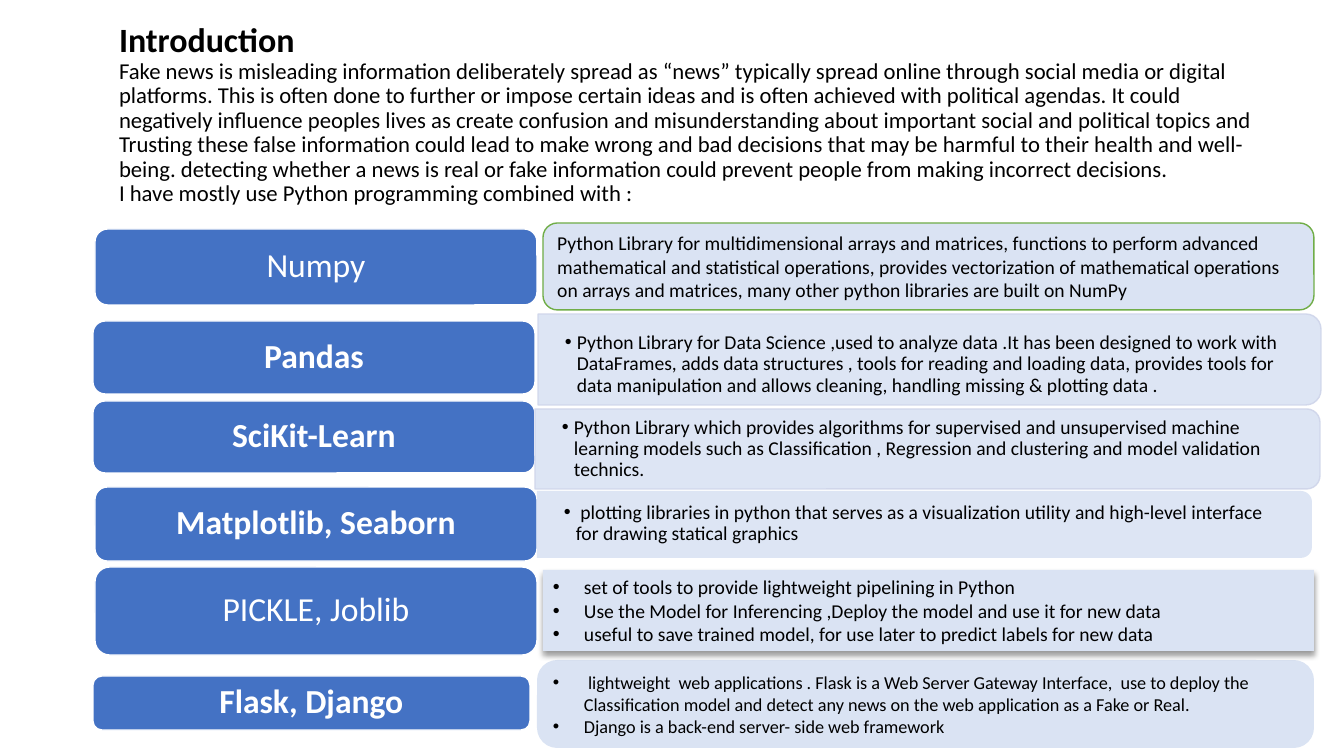
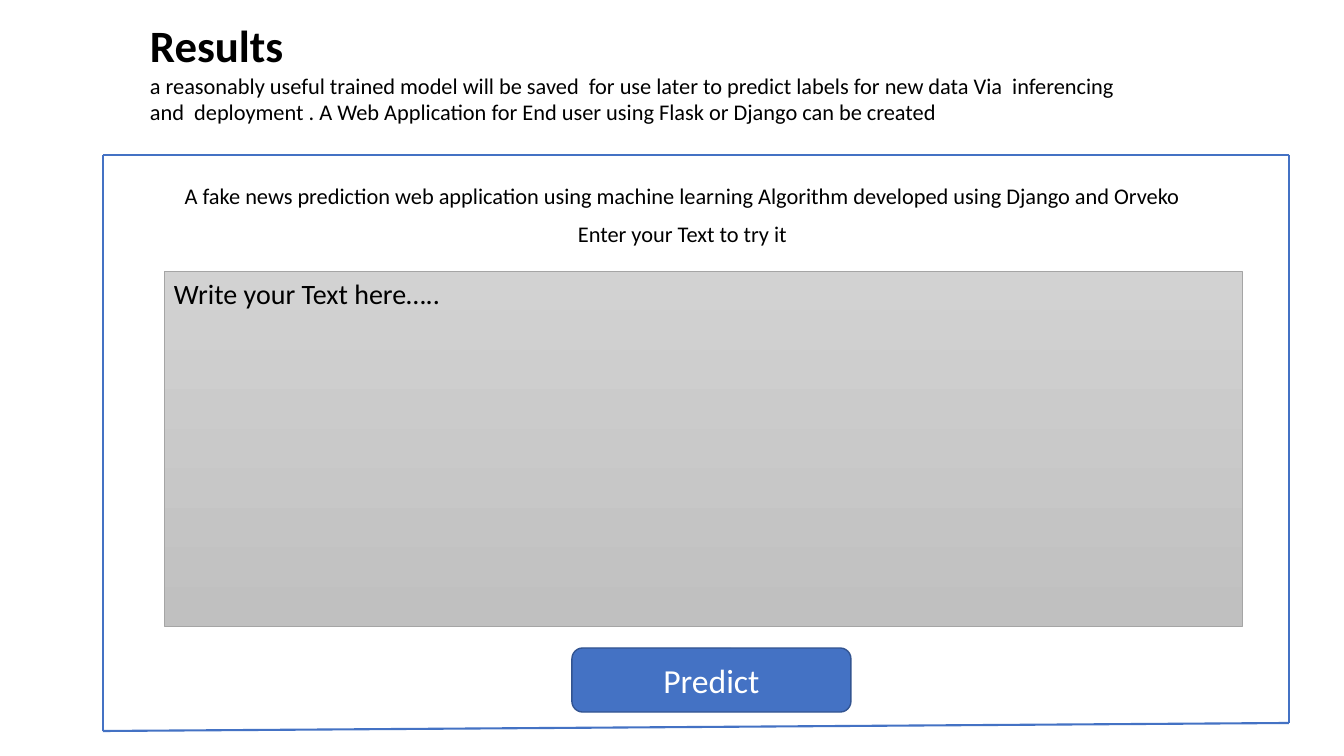
from lxml import etree
from pptx import Presentation
from pptx.dml.color import RGBColor
from pptx.enum.shapes import MSO_CONNECTOR as CONNECTOR, MSO_SHAPE as SHAPE
from pptx.enum.text import MSO_ANCHOR as ANCHOR, PP_ALIGN as ALIGN
from pptx.oxml import parse_xml
from pptx.oxml.ns import nsdecls, qn
from pptx.util import Pt

FONT = "Calibri"
BLACK, WHITE = "000000", "FFFFFF"
BLUE, DARK_BLUE, PALE_BLUE, BAND_EDGE = "4472C4", "325491", "DAE3F3", "CFD5EA"
GREEN, GRAY = "70AD47", "A5A5A5"


def px(*lengths):
    """Turn pixel lengths into a list of EMU."""
    return [round(length * 914400 / 100.8) for length in lengths]


def write(shape, *texts, size=14, bold=False, color=BLACK, align=ALIGN.LEFT,
          anchor=ANCHOR.MIDDLE, insets=(10, 5, 10, 5), spacing=1.0, before=0,
          indent=0, heading_size=None):
    """Fill a shape with paragraphs; a heading size makes the first one a heading."""
    frame = shape.text_frame
    frame.word_wrap = True
    frame.vertical_anchor = anchor
    (frame.margin_left, frame.margin_top,
     frame.margin_right, frame.margin_bottom) = px(*insets)
    for index, text in enumerate(texts):
        heading = heading_size is not None and index == 0
        paragraph = frame.add_paragraph() if index else frame.paragraphs[0]
        paragraph.alignment = align
        paragraph.line_spacing = spacing
        paragraph.space_before = Pt(before)
        run = paragraph.add_run()
        run.text = text
        run.font.name = FONT
        run.font.size = Pt(heading_size if heading else size)
        run.font.bold = bold or heading
        run.font.color.rgb = RGBColor.from_string(color)
        if indent:
            margin = px(indent)[0]
            properties = paragraph._p.get_or_add_pPr()
            properties.set("marL", str(margin))
            properties.set("indent", str(-margin))
            bullet_font = etree.SubElement(properties, qn("a:buFont"))
            bullet_font.set("typeface", "Arial")
            etree.SubElement(properties, qn("a:buChar")).set("char", "•")


def add_box(slide, kind, box, fill=None, line=None, width=1):
    """Add a preset shape with a flat fill and an optional outline."""
    shape = slide.shapes.add_shape(kind, *px(*box))
    shape.shadow.inherit = False
    if fill:
        shape.fill.solid()
        shape.fill.fore_color.rgb = RGBColor.from_string(fill)
    if line:
        shape.line.color.rgb = RGBColor.from_string(line)
        shape.line.width = Pt(width)
    else:
        shape.line.fill.background()
    return shape


presentation = Presentation()
presentation.slide_width, presentation.slide_height = px(1344, 756)
blank = presentation.slide_layouts[6]

# Introduction
slide = presentation.slides.add_slide(blank)
introduction = slide.shapes.add_textbox(*px(109, 18, 1159, 195))
write(introduction, "Introduction",
      "Fake news is misleading information deliberately spread as “news” typically "
      "spread online through social media or digital platforms. This is often done to "
      "further or impose certain ideas and is often achieved with political agendas. It "
      "could negatively influence peoples lives as create confusion and misunderstanding "
      "about important social and political topics and Trusting these false information "
      "could lead to make wrong and bad decisions that may be harmful to their health and "
      "well-being. detecting whether a news is real or fake information could prevent "
      "people from making incorrect decisions.",
      "I have mostly use Python programming combined with :",
      size=16.2, heading_size=24.3, spacing=0.9, anchor=ANCHOR.TOP)

labels = [
    ("Numpy", False, (95, 229, 442, 76)),
    ("Pandas", True, (93, 321, 442, 73)),
    ("SciKit-Learn", True, (93, 401, 442, 72)),
    ("Matplotlib, Seaborn", True, (95, 487, 442, 74)),
    ("PICKLE, Joblib", False, (95, 567, 442, 88)),
    ("Flask, Django", True, (93, 676, 437, 54)),
]
for name, bold, box in labels:
    label = add_box(slide, SHAPE.ROUNDED_RECTANGLE, box, BLUE, WHITE)
    write(label, name, size=24, bold=bold, color=WHITE, align=ALIGN.CENTER, spacing=0.9)

# Bands are turned a quarter so that their rounded end points right
bands = [
    ((538, 314, 783, 91), 24, BAND_EDGE,
     "Python Library for Data Science ,used to analyze data .It has been designed to work "
     "with DataFrames, adds data structures , tools for reading and loading data, provides "
     "tools for data manipulation and allows cleaning, handling missing & plotting data ."),
    ((535, 409, 785, 80), 14, BAND_EDGE,
     "Python Library which provides algorithms for supervised and unsupervised machine "
     "learning models such as Classification , Regression and clustering and model "
     "validation technics."),
    ((537, 491, 775, 67), 12, None,
     " plotting libraries in python that serves as a visualization utility and high-level "
     "interface for drawing statical graphics"),
]
for (left, top, width, height), top_inset, edge, text in bands:
    shift = (width - height) / 2
    band = add_box(slide, SHAPE.ROUND_2_SAME_RECTANGLE,
                   (left + shift, top - shift, height, width), PALE_BLUE, edge)
    band.rotation = 90
    for color in list(band._element.spPr.iter(qn("a:srgbClr"))):
        etree.SubElement(color, qn("a:alpha")).set("val", "90000")
    description = slide.shapes.add_textbox(*px(left, top + 4, width - 4, height - 8))
    write(description, text, insets=(27, top_inset, 27, 14), spacing=0.9, indent=12)

web = add_box(slide, SHAPE.ROUNDED_RECTANGLE, (537, 660, 777, 88), PALE_BLUE)
web.adjustments[0] = 0.23
write(web,
      " lightweight\u00a0\u00a0web applications . Flask is a Web Server Gateway Interface,  "
      "use to deploy the Classification model and detect any news on the web application "
      "as a Fake or Real.",
      "Django is a back-end server- side web framework", size=13, indent=31)

saving = add_box(slide, SHAPE.RECTANGLE, (543, 570, 771, 81), PALE_BLUE)
write(saving, "set of tools to provide\u00a0lightweight pipelining in Python",
      "Use the Model for Inferencing ,Deploy the model and use it for new data",
      "useful to save trained model, for use later to predict labels for new data",
      anchor=ANCHOR.TOP, indent=31)
effects = saving._element.spPr.find(qn("a:effectLst"))
effects.append(parse_xml(
    f'<a:outerShdw {nsdecls("a")} blurRad="50800" dist="38100" dir="5400000">'
    f'<a:srgbClr val="{BLACK}"><a:alpha val="40000"/></a:srgbClr></a:outerShdw>'))

arrays = add_box(slide, SHAPE.ROUNDED_RECTANGLE, (543, 223, 771, 87), PALE_BLUE, GREEN)
write(arrays,
      "Python Library for multidimensional arrays and matrices, functions to perform "
      "advanced mathematical and statistical operations, provides vectorization of "
      "mathematical operations on arrays and matrices, many other python libraries are "
      "built on NumPy")

# Results
slide = presentation.slides.add_slide(blank)
prompt = slide.shapes.add_textbox(*px(103, 180, 1159, 80))
write(prompt,
      "A fake news prediction web application using machine learning Algorithm developed "
      "using Django and Orveko",
      "Enter your Text to try it",
      size=16, align=ALIGN.CENTER, anchor=ANCHOR.TOP, spacing=0.9, before=10)

entry = add_box(slide, SHAPE.RECTANGLE, (164, 271, 1078, 355), line=GRAY, width=0.5)
entry.fill.gradient()
entry.fill.gradient_angle = 270
for stop, color in zip(entry.fill.gradient_stops, ("D2D2D2", "C0C0C0")):
    stop.color.rgb = RGBColor.from_string(color)
write(entry, "Write your Text here….. ", size=20, anchor=ANCHOR.TOP)

button = add_box(slide, SHAPE.ROUNDED_RECTANGLE, (572, 648, 279, 64), BLUE, DARK_BLUE)
write(button, "Predict", size=24, color=WHITE, align=ALIGN.CENTER)

results = slide.shapes.add_textbox(*px(140, 13, 1008, 120))
write(results, "Results",
      "a reasonably useful trained model will be saved  for use later to predict labels "
      "for new data Via  inferencing and  deployment . A Web Application for End user "
      "using Flask or Django can be created",
      size=16, heading_size=32, anchor=ANCHOR.TOP)

corners = [(103, 155), (1289, 155), (1289, 723), (103, 731)]
for start, end in zip(corners, corners[1:] + corners[:1]):
    edge = slide.shapes.add_connector(CONNECTOR.STRAIGHT, *px(*start, *end))
    edge.line.color.rgb = RGBColor.from_string(BLUE)
    edge.line.width = Pt(1.5)
    etree.SubElement(edge._element.spPr, qn("a:effectLst"))

presentation.save("out.pptx")
